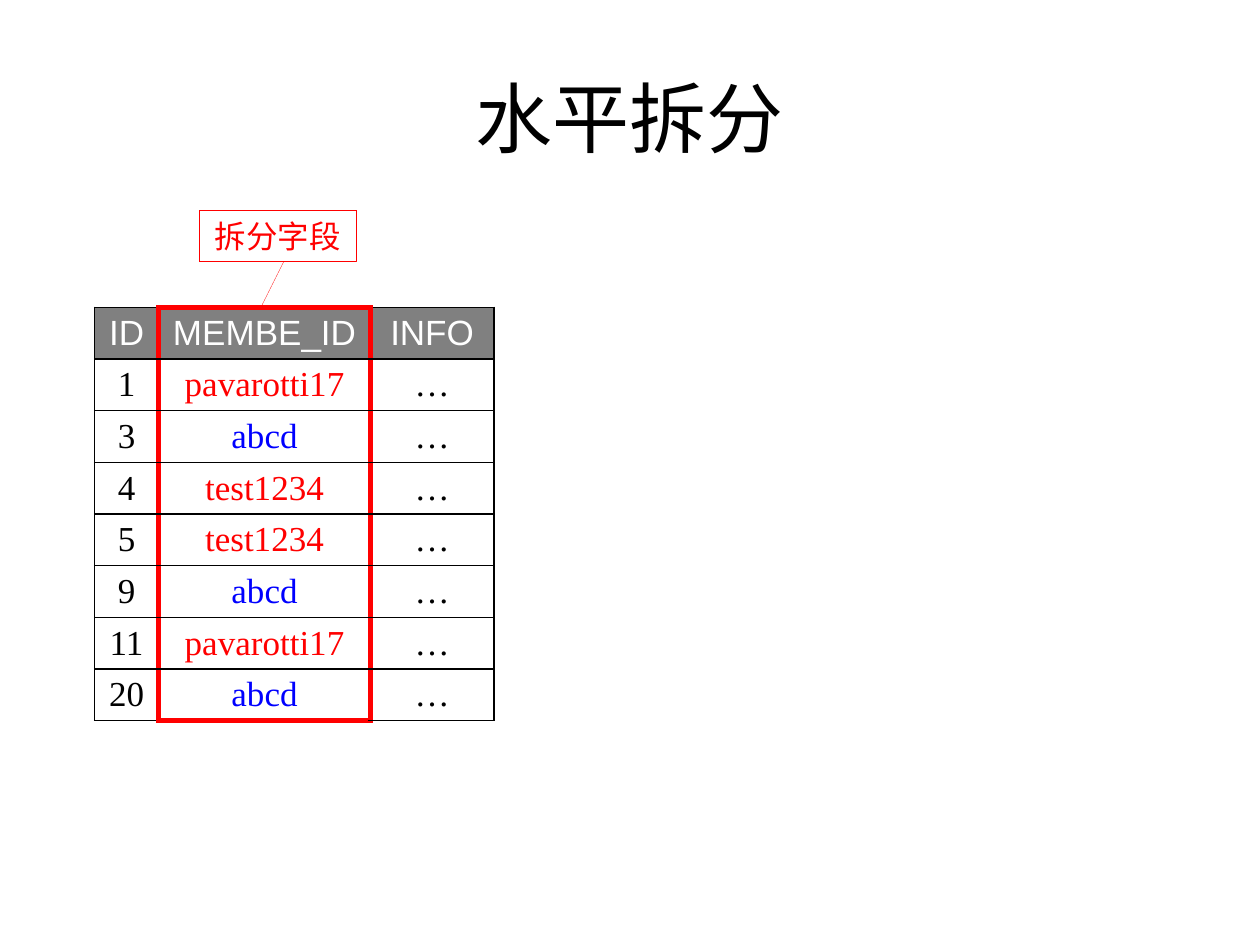
from lxml import etree
from pptx import Presentation, util as u
from pptx.dml.color import RGBColor
from pptx.enum import dml, shapes, text
from pptx.oxml.ns import qn

BLACK = RGBColor(0, 0, 0)
WHITE = RGBColor(255, 255, 255)
GRAY = RGBColor(128, 128, 128)
RED = RGBColor(255, 0, 0)
BLUE = RGBColor(0, 0, 255)
THIN, THICK = (BLACK, 1), (RED, 3)


class Deck:
    """Hold the style and current slide, and draw its elements."""

    def __init__(self, sans="Arial", serif="Times New Roman"):
        self.sans, self.serif = sans, serif
        self.prs = Presentation()
        self.prs.slide_width, self.prs.slide_height = u.Inches(10), u.Inches(7.5)
        self.slide = self.prs.slides.add_slide(self.prs.slide_layouts[5])

    def letter(self, frame, words, size, color, face):
        frame.text = words
        para = frame.paragraphs[0]
        para.alignment = text.PP_ALIGN.CENTER
        font = para.font
        font.size, font.name, font.color.rgb = u.Pt(size), face, color

    def title(self, words, *box):
        shape = self.slide.shapes.title
        shape.left, shape.top, shape.width, shape.height = map(u.Inches, box)
        self.letter(shape.text_frame, words, 44, BLACK, self.sans)
        shape.text_frame.vertical_anchor = text.MSO_ANCHOR.MIDDLE

    def dash(self, line):
        line.color.rgb, line.width = RED, u.Pt(0.25)
        line.dash_style = dml.MSO_LINE.ROUND_DOT

    def label(self, words, *box):
        shape = self.slide.shapes.add_shape(
            shapes.MSO_SHAPE.RECTANGLE, *map(u.Inches, box))
        shape.shadow.inherit = False
        shape.fill.background()
        self.dash(shape.line)
        shape.text_frame.vertical_anchor = text.MSO_ANCHOR.MIDDLE
        self.letter(shape.text_frame, words, 18, RED, self.sans)

    def line(self, *ends):
        link = self.slide.shapes.add_connector(
            shapes.MSO_CONNECTOR.STRAIGHT, *map(u.Inches, ends))
        self.dash(link.line)
        etree.SubElement(link._element.spPr, qn("a:effectLst"))

    def edge(self, cell, side, color, width):
        props = cell._tc.get_or_add_tcPr()
        line = etree.SubElement(props, qn("a:ln" + side), w=str(u.Pt(width)))
        fill = etree.SubElement(line, qn("a:solidFill"))
        etree.SubElement(fill, qn("a:srgbClr"), val=str(color))

    def table(self, rows, left, top, widths, height, tints, key):
        last = len(rows) - 1
        grid = self.slide.shapes.add_table(
            len(rows), len(widths), u.Inches(left), u.Inches(top),
            u.Inches(sum(widths)), u.Inches(height * len(rows))).table
        for col, width in zip(grid.columns, widths):
            col.width = u.Inches(width)
        for r, row in enumerate(rows):
            grid.rows[r].height = u.Inches(height)
            for c, words in enumerate(row):
                cell = grid.cell(r, c)
                edges = {
                    "L": THICK if c in (key, key + 1) else THIN,
                    "R": THICK if c in (key - 1, key) else THIN,
                    "T": THICK if c == key and r == 0 else THIN,
                    "B": THICK if c == key and r == last else THIN,
                }
                for side, style in edges.items():
                    self.edge(cell, side, *style)
                cell.fill.solid()
                cell.fill.fore_color.rgb = WHITE if r else GRAY
                cell.margin_top = cell.margin_bottom = u.Inches(0.04)
                cell.vertical_anchor = text.MSO_ANCHOR.MIDDLE
                color = tints.get(words, BLACK) if r else WHITE
                self.letter(cell.text_frame, words, 20, color,
                            self.serif if r else self.sans)


deck = Deck()
deck.title("水平拆分", 0.5, 0.3, 9, 1.25)
users = {"pavarotti17": RED, "test1234": RED, "abcd": BLUE}
names = ["pavarotti17", "abcd", "test1234", "test1234",
         "abcd", "pavarotti17", "abcd"]
ids = [1, 3, 4, 5, 9, 11, 20]
rows = [("ID", "MEMBE_ID", "INFO")]
rows += [(str(num), name, "…") for num, name in zip(ids, names)]
deck.table(rows, 0.75, 2.44, (0.51, 1.68, 0.98), 0.41, users, key=1)
deck.label("拆分字段", 1.58, 1.67, 1.25, 0.4)
deck.line(2.25, 2.08, 2.08, 2.42)
deck.prs.save("out.pptx")
